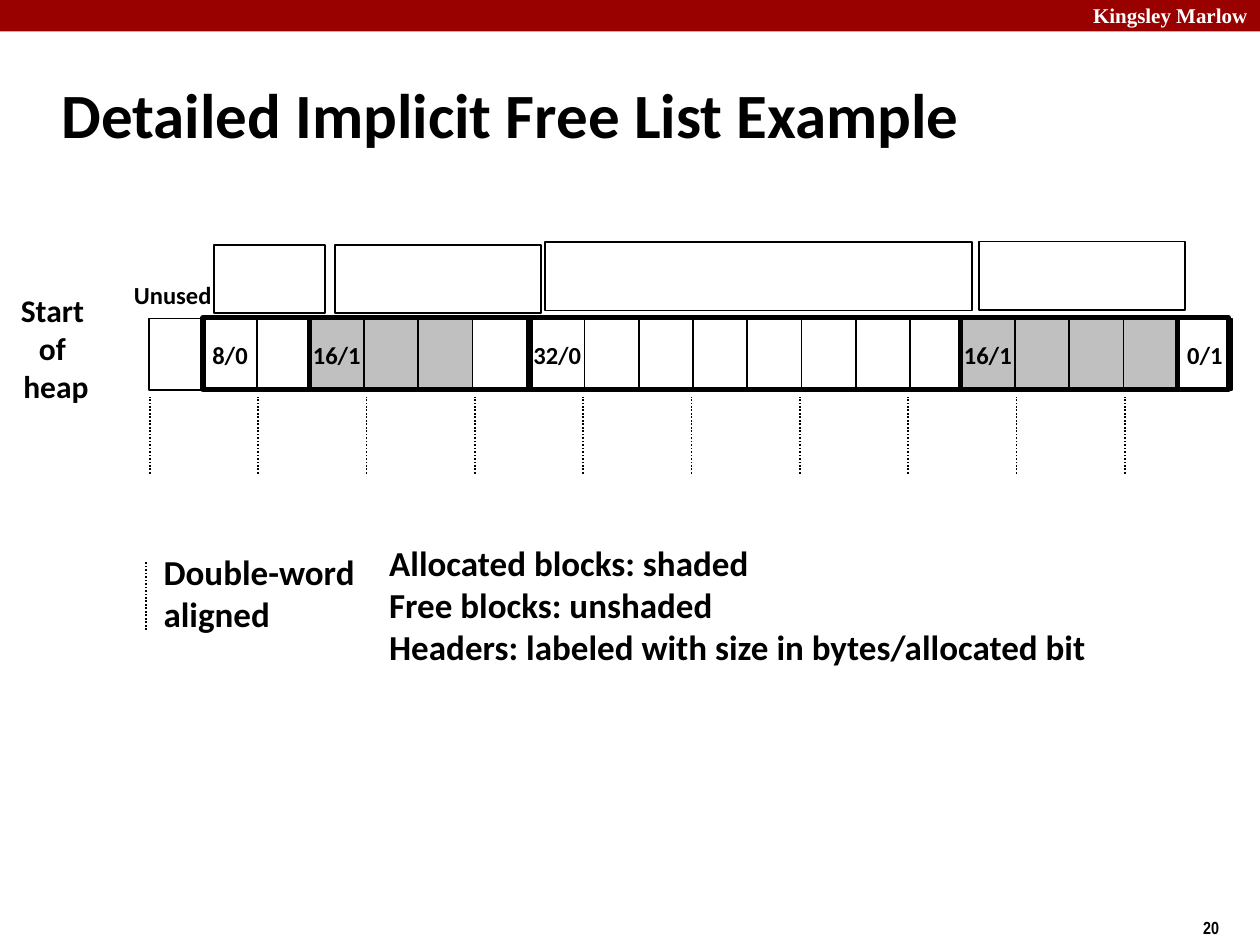
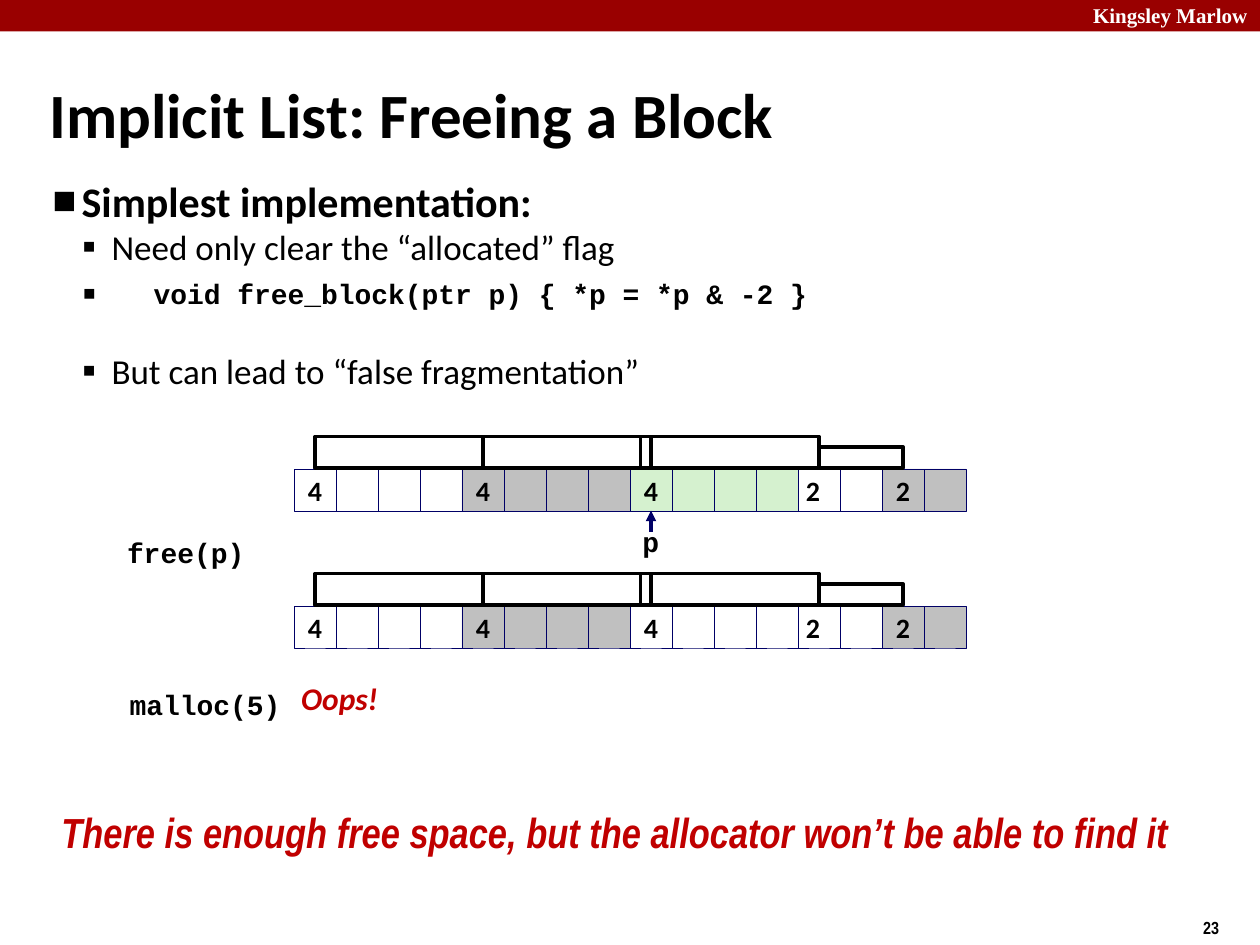
from dataclasses import dataclass

import pptx
import pptx.dml.color
import pptx.enum.dml
import pptx.enum.shapes
import pptx.enum.text
import pptx.oxml.ns
import pptx.util
from lxml import etree

Pt = pptx.util.Pt
RGBColor = pptx.dml.color.RGBColor
ALIGN = pptx.enum.text.PP_ALIGN
ANCHOR = pptx.enum.text.MSO_ANCHOR
qn = pptx.oxml.ns.qn

BLACK = RGBColor(0x00, 0x00, 0x00)
WHITE = RGBColor(0xFF, 0xFF, 0xFF)
BAND_RED = RGBColor(0x99, 0x00, 0x00)
ALERT_RED = RGBColor(0xC0, 0x00, 0x00)
SHADED = RGBColor(0xC0, 0xC0, 0xC0)
GREEN = RGBColor(0xD5, 0xF1, 0xCF)
NAVY = RGBColor(0x00, 0x00, 0x66)

SANS = "Calibri"
NARROW = "Arial Narrow"
MONO = "Courier New"
TITLE_ONLY = 5


@dataclass
class Block:
    """A run of heap words; the first one holds the header."""
    left: float
    words: int
    fill: RGBColor = WHITE
    header: str = ""
    shaded_words: int = 99


@dataclass
class Hop:
    """Open frame that leads from one header to the next."""
    left: float
    top: float
    width: float
    height: float


@dataclass
class Bullet:
    text: str
    mark: str
    mark_percent: int
    margin: float
    hang: float
    size: float
    font: str = SANS
    bold: bool = False
    before: float = 0


# Shared drawing functions

def write(frame, text: str, size: float = 16, font: str = SANS, bold: bool = True,
          italic: bool = False, color: RGBColor = BLACK, align=ALIGN.LEFT,
          anchor=ANCHOR.TOP, spacing: float = 1.0) -> None:
    """Fill a frame with one paragraph per line of text."""
    frame.auto_size = pptx.enum.text.MSO_AUTO_SIZE.NONE
    frame.word_wrap = align != ALIGN.CENTER
    frame.vertical_anchor = anchor
    for index, line in enumerate(text.split("\n")):
        para = frame.paragraphs[0] if index == 0 else frame.add_paragraph()
        para.alignment = align
        para.line_spacing = spacing
        span = para.add_run()
        span.text = line
        span.font.size = Pt(size)
        span.font.name = font
        span.font.bold = bold
        span.font.italic = italic
        span.font.color.rgb = color


def add_text(page, text: str, left: float, top: float, width: float,
             height: float, **style):
    box = page.shapes.add_textbox(Pt(left), Pt(top), Pt(width), Pt(height))
    write(box.text_frame, text, **style)
    return box


def add_box(page, left: float, top: float, width: float, height: float,
            fill: RGBColor | None = None, line: RGBColor | None = BLACK,
            weight: float = 1):
    box = page.shapes.add_shape(pptx.enum.shapes.MSO_SHAPE.RECTANGLE,
                                Pt(left), Pt(top), Pt(width), Pt(height))
    box.shadow.inherit = False
    if fill is None:
        box.fill.background()
    else:
        box.fill.solid()
        box.fill.fore_color.rgb = fill
    if line is None:
        box.line.fill.background()
    else:
        box.line.color.rgb = line
        box.line.width = Pt(weight)
    return box


def add_line(page, x: float, bottom: float, top: float, color: RGBColor = BLACK,
             weight: float = 1, dotted: bool = False, arrow: bool = False) -> None:
    """Draw a vertical line upwards."""
    line = page.shapes.add_connector(pptx.enum.shapes.MSO_CONNECTOR.STRAIGHT,
                                     Pt(x), Pt(bottom), Pt(x), Pt(top))
    line.line.color.rgb = color
    line.line.width = Pt(weight)
    if dotted:
        line.line.dash_style = pptx.enum.dml.MSO_LINE.ROUND_DOT
    properties = line._element.spPr
    if arrow:
        etree.SubElement(properties.find(qn("a:ln")), qn("a:tailEnd"), type="triangle")
    etree.SubElement(properties, qn("a:effectLst"))


def add_block(page, block: Block, top: float, word: float, height: float,
              line: RGBColor, weight: float, size: float) -> None:
    for index in range(block.words):
        fill = block.fill if index < block.shaded_words else WHITE
        cell = add_box(page, block.left + index * word, top, word, height,
                       fill, line, weight)
        if index == 0 and block.header:
            write(cell.text_frame, block.header, size=size,
                  align=ALIGN.CENTER, anchor=ANCHOR.MIDDLE)


def add_bullets(page, bullets: list[Bullet], left: float, top: float,
                width: float, height: float) -> None:
    box = page.shapes.add_textbox(Pt(left), Pt(top), Pt(width), Pt(height))
    frame = box.text_frame
    frame.word_wrap = True
    for index, bullet in enumerate(bullets):
        para = frame.paragraphs[0] if index == 0 else frame.add_paragraph()
        para.space_before = Pt(bullet.before)
        span = para.add_run()
        span.text = bullet.text
        span.font.size = Pt(bullet.size)
        span.font.name = bullet.font
        span.font.bold = bullet.bold
        span.font.color.rgb = BLACK
        properties = para._p.get_or_add_pPr()
        properties.set("marL", str(Pt(bullet.margin)))
        properties.set("indent", str(-Pt(bullet.hang)))
        etree.SubElement(properties, qn("a:buSzPct"), val=str(bullet.mark_percent * 1000))
        etree.SubElement(properties, qn("a:buFont"), typeface=SANS)
        etree.SubElement(properties, qn("a:buChar"), char=bullet.mark)


def add_page(deck, title: str, title_left: float, number: str):
    """Start a page with its band, title and page number."""
    page = deck.slides.add_slide(deck.slide_layouts[TITLE_ONLY])
    add_box(page, 0, 0, 720, 18, fill=BAND_RED, line=None)
    add_text(page, "Kingsley Marlow", 580, -2, 140, 21, size=12,
             font="Times New Roman", color=WHITE, align=ALIGN.RIGHT)
    add_text(page, number, 680.4, 520.6, 39, 19.4, size=10, font=NARROW)
    heading = page.shapes.title
    heading.left, heading.top = Pt(title_left), Pt(34.5)
    heading.width, heading.height = Pt(598), Pt(60)
    write(heading.text_frame, title, size=36, anchor=ANCHOR.MIDDLE)
    return page


# Page 20: a heap in detail

def build_example(deck) -> None:
    page = add_page(deck, "Detailed Implicit Free List Example", 28, "20")
    word, top, height = 31, 182, 41
    unused = Block(85, 1)
    blocks = [
        Block(116, 2, header="8/0"),
        Block(177, 4, SHADED, "16/1", shaded_words=3),
        Block(303, 8, header="32/0"),
        Block(549, 4, SHADED, "16/1"),
        Block(673, 1, header="0/1"),
    ]
    for block in [unused, *blocks]:
        add_block(page, block, top, word, height, BLACK, 1, 14)

    # Heavy outlines reach from each block to the next
    edges = [block.left for block in blocks] + [702]
    for left, right in zip(edges, edges[1:]):
        add_box(page, left, top - 0.5, right - left, height, weight=3)

    for hop in [Hop(122.4, 140, 63.4, 39), Hop(191.5, 140, 117.5, 39),
                Hop(311.6, 138.5, 244, 39), Hop(559.6, 138, 117.4, 39)]:
        add_box(page, hop.left, hop.top, hop.width, hop.height)

    # Double-word boundaries
    for index in range(10):
        add_line(page, 85.7 + index * 61.9, 270.7, 226.8, dotted=True)

    add_text(page, "Start \nof \nheap", 0, 162.7, 64, 72, size=18,
             align=ALIGN.CENTER, anchor=ANCHOR.MIDDLE)
    add_text(page, "Unused", 62, 156.5, 73.4, 23.8, size=14,
             align=ALIGN.CENTER, anchor=ANCHOR.MIDDLE)

    # Legend
    add_line(page, 83.3, 360, 320.4, dotted=True)
    add_text(page, "Double-word\naligned", 86.4, 299, 147, 79, size=20,
             anchor=ANCHOR.MIDDLE)
    add_text(page, "Allocated blocks: shaded\nFree blocks: unshaded\n"
             "Headers: labeled with size in bytes/allocated bit",
             215.3, 306, 500, 79, size=20)


# Page 23: freeing a block

def add_heap_row(page, top: float, third_fill: RGBColor) -> None:
    word, left = 24, 168
    for words, fill, header in [(4, WHITE, "4"), (4, SHADED, "4"), (4, third_fill, "4"),
                                (2, WHITE, ""), (2, SHADED, "2")]:
        add_block(page, Block(left, words, fill, header), top, word, word, NAVY, 0.25, 16)
        left += words * word
    add_text(page, "2", 453.4, top, 40, 26, spacing=0.98)
    for hop in [Hop(180, 18.6, 96, 18), Hop(276, 18.6, 96, 18),
                Hop(366, 18.6, 102, 18), Hop(468, 12.6, 48, 12)]:
        add_box(page, hop.left, top - hop.top, hop.width, hop.height, weight=2)


def build_freeing(deck) -> None:
    page = add_page(deck, "Implicit List: Freeing a Block", 21, "23")
    add_bullets(page, [
        Bullet("Simplest implementation:", "■", 60, 16.6, 16.6, 24, bold=True),
        Bullet("Need only clear the “allocated” flag", "▪", 110, 33.7, 16.6, 20),
        Bullet("void free_block(ptr p) { *p = *p & -2 }", "▪", 137, 57.7, 40.6, 16,
               font=MONO, bold=True, before=5),
        Bullet("But can lead to “false fragmentation”", "▪", 110, 33.7, 16.6, 20,
               before=22.4),
    ], 23, 96.5, 654, 342)

    add_heap_row(page, 268, GREEN)
    add_heap_row(page, 346.3, WHITE)

    # Calls and the freed pointer
    add_line(page, 372, 303.8, 291.8, color=NAVY, weight=2, arrow=True)
    for call, left, top in [("p", 360, 298), ("free(p)", 65.5, 303.8),
                            ("malloc(5)", 67, 391)]:
        add_text(page, call, left, top, 120, 25, font=MONO, spacing=0.94)

    # Outcome
    add_text(page, "Oops!", 165, 383.8, 90, 29.5, size=18, italic=True,
             color=ALERT_RED, spacing=1.02)
    add_text(page, "There is enough free space, but the allocator won’t be able to find it",
             28, 457.2, 680, 57.6, size=24, font=NARROW, italic=True, color=ALERT_RED)


def main() -> None:
    deck = pptx.Presentation()
    deck.slide_width, deck.slide_height = Pt(720), Pt(540)
    build_example(deck)
    build_freeing(deck)
    deck.save("out.pptx")


if __name__ == "__main__":
    main()
